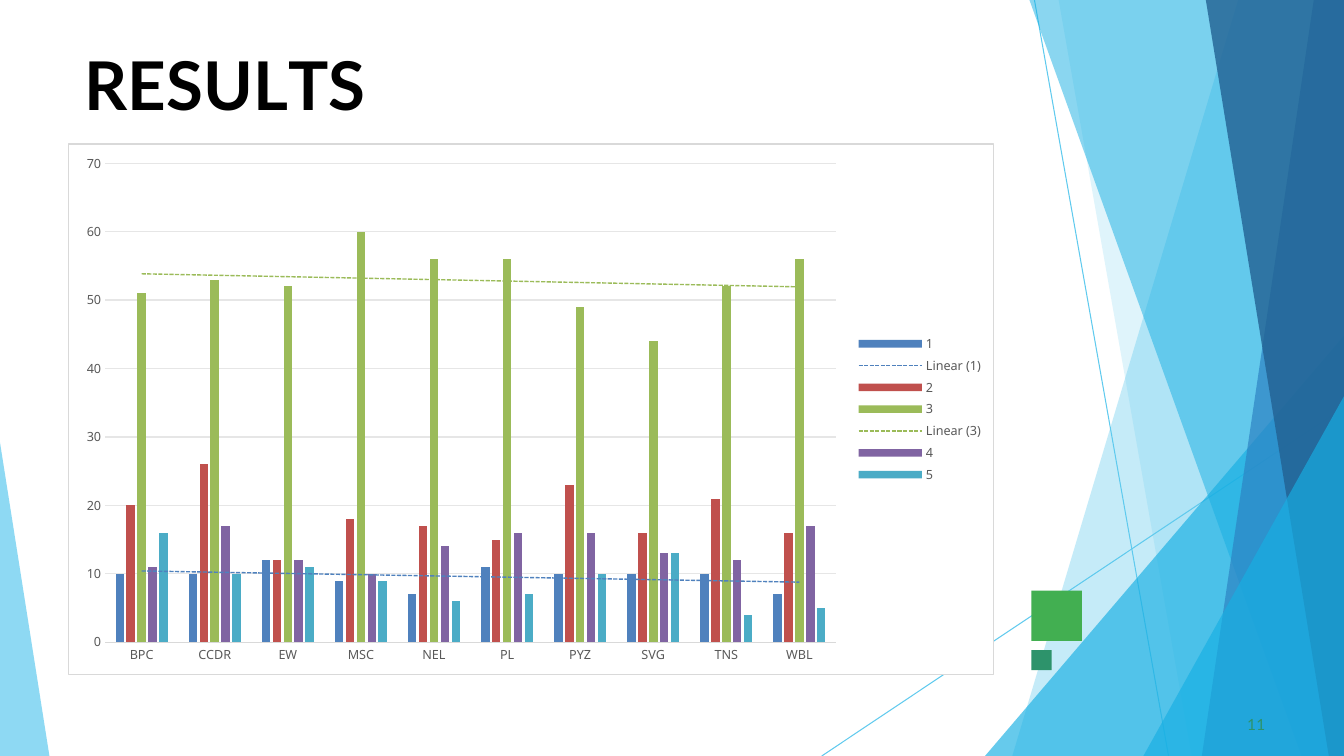
"""Build the RESULTS slide: a clustered column chart beside a faceted blue backdrop."""
from dataclasses import dataclass

from lxml.etree import SubElement
from pptx import Presentation
from pptx.chart.data import CategoryChartData
from pptx.dml.color import RGBColor
from pptx.enum.chart import XL_CHART_TYPE, XL_LEGEND_POSITION, XL_TICK_MARK
from pptx.enum.shapes import MSO_CONNECTOR, MSO_SHAPE
from pptx.enum.text import MSO_ANCHOR, MSO_AUTO_SIZE, PP_ALIGN
from pptx.oxml import parse_xml
from pptx.oxml.ns import nsdecls, qn
from pptx.util import Inches, Pt

WIDTH, HEIGHT = 13.33, 7.5
BLACK = RGBColor(0x00, 0x00, 0x00)
SKY = RGBColor(0x5F, 0xCA, 0xEE)
CYAN = RGBColor(0x17, 0xAF, 0xE3)
BLUE = RGBColor(0x2D, 0x83, 0xC3)
NAVY = RGBColor(0x22, 0x61, 0x92)
GREEN = RGBColor(0x42, 0xAF, 0x51)
TEAL = RGBColor(0x2D, 0x93, 0x6B)
LABEL_GREY = RGBColor(0x59, 0x59, 0x59)
BORDER_GREY = RGBColor(0xD9, 0xD9, 0xD9)
GRID_GREY = RGBColor(0xE6, 0xE6, 0xE6)
CHART_FONT = "Noto Sans"


@dataclass(frozen=True)
class Ray:
    start: tuple[float, float]
    end: tuple[float, float]


@dataclass(frozen=True)
class Facet:
    points: tuple[tuple[float, float], ...]
    color: RGBColor
    opacity: int


@dataclass(frozen=True)
class Square:
    left: float
    top: float
    size: float
    color: RGBColor


@dataclass(frozen=True)
class Series:
    name: str
    values: tuple[int, ...]
    color: RGBColor
    trend: bool = False


def right_facet(top_left: float, bottom_left: float, color: RGBColor, opacity: int) -> Facet:
    """Describe a full-height facet that reaches the right edge."""
    return Facet(((WIDTH, 0), (top_left, 0), (bottom_left, HEIGHT), (WIDTH, HEIGHT)), color, opacity)


def corner_facet(top: float, left: float) -> Facet:
    """Describe a triangle in the lower right corner."""
    return Facet(((WIDTH, top), (left, HEIGHT), (WIDTH, HEIGHT)), CYAN, 66)


RAYS = (Ray((10.26, 0), (11.59, HEIGHT)), Ray((WIDTH, 4.04), (8.15, HEIGHT)))
FACETS = (
    right_facet(12.28, 10.04, SKY, 36),
    right_facet(10.5, 11.82, SKY, 20),
    corner_facet(3.33, 9.77),
    right_facet(10.21, 12.91, CYAN, 50),
    right_facet(13.03, 11.92, BLUE, 70),
    right_facet(11.96, 13.18, NAVY, 80),
    corner_facet(3.93, 11.34),
    Facet(((0, 4.39), (0, HEIGHT), (0.49, HEIGHT)), SKY, 70),
)
SQUARES = (Square(10.23, 5.86, 0.5, GREEN), Square(10.23, 6.45, 0.2, TEAL))
CATEGORIES = ("BPC", "CCDR", "EW", "MSC", "NEL", "PL", "PYZ", "SVG", "TNS", "WBL")
SERIES = (
    Series("1", (10, 10, 12, 9, 7, 11, 10, 10, 10, 7), RGBColor(0x4F, 0x81, 0xBD), True),
    Series("2", (20, 26, 12, 18, 17, 15, 23, 16, 21, 16), RGBColor(0xC0, 0x50, 0x4D)),
    Series("3", (51, 53, 52, 60, 56, 56, 49, 44, 52, 56), RGBColor(0x9B, 0xBB, 0x59), True),
    Series("4", (11, 17, 12, 10, 14, 16, 16, 13, 12, 17), RGBColor(0x80, 0x64, 0xA2)),
    Series("5", (16, 10, 11, 9, 6, 7, 10, 13, 4, 5), RGBColor(0x4B, 0xAC, 0xC6)),
)
TITLE_RUNS = (("R", 0), ("E", -0.4), ("S", 0.1), ("U", -0.3), ("L", -4), ("TS", 0))


def draw_ray(slide, ray: Ray) -> None:
    """Draw a thin shadowless line."""
    points = [Inches(value) for value in (*ray.start, *ray.end)]
    connector = slide.shapes.add_connector(MSO_CONNECTOR.STRAIGHT, *points)
    connector.line.color.rgb = SKY
    connector.line.width = Pt(0.75)
    SubElement(connector._element.spPr, qn("a:effectLst"))


def fill_shape(shape, color: RGBColor) -> None:
    """Give a shape a plain fill with neither outline nor shadow."""
    shape.shadow.inherit = False
    shape.fill.solid()
    shape.fill.fore_color.rgb = color
    shape.line.fill.background()


def draw_facet(slide, facet: Facet) -> None:
    """Draw a translucent polygon."""
    start, *others = [(Inches(x), Inches(y)) for x, y in facet.points]
    builder = slide.shapes.build_freeform(*start)
    builder.add_line_segments(others, close=True)
    shape = builder.convert_to_shape()
    fill_shape(shape, facet.color)
    color = shape._element.spPr.find(qn("a:solidFill")).find(qn("a:srgbClr"))
    SubElement(color, qn("a:alpha"), val=str(facet.opacity * 1000))


def draw_square(slide, square: Square) -> None:
    """Draw a filled square."""
    box = [Inches(value) for value in (square.left, square.top, square.size, square.size)]
    fill_shape(slide.shapes.add_shape(MSO_SHAPE.RECTANGLE, *box), square.color)


def write_text(shape, runs, *, size: float, color: RGBColor, bold: bool = False,
               indent: float = 0, space_before: float = 0) -> None:
    """Write one left-aligned paragraph of runs with letter spacing."""
    frame = shape.text_frame
    frame.word_wrap = True
    frame.auto_size = MSO_AUTO_SIZE.NONE
    frame.vertical_anchor = MSO_ANCHOR.TOP
    frame.margin_left = frame.margin_right = frame.margin_bottom = 0
    frame.margin_top = Inches(0.01)
    paragraph = frame.paragraphs[0]
    paragraph.alignment = PP_ALIGN.LEFT
    paragraph.space_before = Pt(space_before)
    paragraph._p.get_or_add_pPr().set("marL", str(Inches(indent)))
    for text, spacing in runs:
        run = paragraph.add_run()
        run.text = text
        run.font.name = "Lato"
        run.font.size = Pt(size)
        run.font.bold = bold
        run.font.color.rgb = color
        run._r.get_or_add_rPr().set("spc", str(round(spacing * 100)))


def format_font(font, size: float, color: RGBColor) -> None:
    """Set a chart font."""
    font.name = CHART_FONT
    font.size = Pt(size)
    font.color.rgb = color


def add_trend(plot_series, color: RGBColor) -> None:
    """Add a dashed linear trend line to a series."""
    trend = parse_xml(
        f'<c:trendline {nsdecls("c", "a")}><c:spPr><a:ln w="{Pt(1)}"><a:solidFill>'
        f'<a:srgbClr val="{color}"/></a:solidFill><a:prstDash val="sysDash"/></a:ln></c:spPr>'
        '<c:trendlineType val="linear"/><c:dispRSqr val="0"/><c:dispEq val="0"/></c:trendline>')
    plot_series._element.find(qn("c:cat")).addprevious(trend)


def draw_chart(slide) -> None:
    """Draw the clustered column chart with its legend and trend lines."""
    data = CategoryChartData()
    data.categories = CATEGORIES
    for series in SERIES:
        data.add_series(series.name, series.values)
    box = [Inches(value) for value in (0.67, 1.42, 9.19, 5.28)]
    chart = slide.shapes.add_chart(XL_CHART_TYPE.COLUMN_CLUSTERED, *box, data).chart
    chart.has_title = False
    format_font(chart.font, 10, BLACK)
    chart.has_legend = True
    chart.legend.position = XL_LEGEND_POSITION.RIGHT
    chart.legend.include_in_layout = False
    format_font(chart.legend.font, 9, LABEL_GREY)
    for axis in (chart.category_axis, chart.value_axis):
        axis.major_tick_mark = axis.minor_tick_mark = XL_TICK_MARK.NONE
        format_font(axis.tick_labels.font, 9, LABEL_GREY)
    chart.category_axis.format.line.color.rgb = BORDER_GREY
    chart.category_axis.format.line.width = Pt(1)
    chart.value_axis.format.line.fill.background()
    grid = chart.value_axis.major_gridlines.format.line
    grid.color.rgb = GRID_GREY
    grid.width = Pt(1)
    plot = chart.plots[0]
    plot.vary_by_categories = False
    plot.gap_width, plot.overlap = 246, -28
    for series, plot_series in zip(SERIES, plot.series):
        plot_series.format.fill.solid()
        plot_series.format.fill.fore_color.rgb = series.color
        if series.trend:
            add_trend(plot_series, series.color)
    frame = parse_xml(
        f'<c:spPr {nsdecls("c", "a")}><a:solidFill><a:srgbClr val="FFFFFF"/></a:solidFill>'
        f'<a:ln w="{Pt(1)}"><a:solidFill><a:srgbClr val="{BORDER_GREY}"/></a:solidFill></a:ln></c:spPr>')
    chart._chartSpace.find(qn("c:chart")).addnext(frame)


def main() -> None:
    """Build and save the slide."""
    presentation = Presentation()
    presentation.slide_width, presentation.slide_height = Inches(WIDTH), Inches(HEIGHT)
    slide = presentation.slides.add_slide(presentation.slide_layouts[5])
    for ray in RAYS:
        draw_ray(slide, ray)
    for facet in FACETS:
        draw_facet(slide, facet)
    for square in SQUARES:
        draw_square(slide, square)
    title = slide.shapes.title
    title.left, title.top, title.width, title.height = map(Inches, (0.83, 0.42, 9, 0.9))
    write_text(title, TITLE_RUNS, size=48, color=BLACK, bold=True, indent=0.01, space_before=1)
    number = slide.shapes.add_textbox(*map(Inches, (12.33, 7.08, 0.25, 0.18)))
    write_text(number, (("11", 0.1),), size=11, color=TEAL, indent=0.04, space_before=0.6)
    draw_chart(slide)
    presentation.save("out.pptx")


if __name__ == "__main__":
    main()
